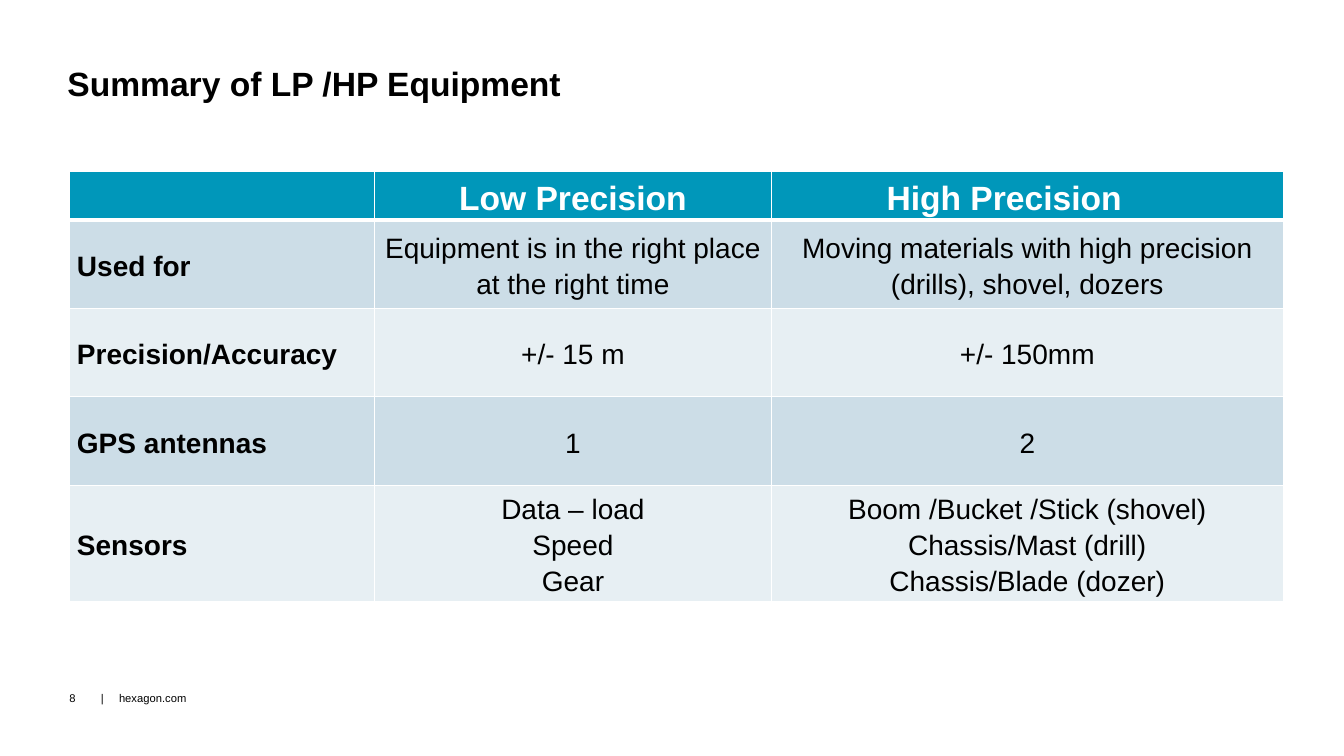
import dataclasses

import lxml.etree
import pptx
import pptx.dml.color
import pptx.enum.text
import pptx.oxml.ns
import pptx.util

Cm = pptx.util.Cm
Pt = pptx.util.Pt
ALIGN = pptx.enum.text.PP_ALIGN
ANCHOR = pptx.enum.text.MSO_ANCHOR


@dataclasses.dataclass
class Theme:
    font: str = "Arial"
    ink: str = "000000"
    white: str = "FFFFFF"
    head: str = "0097BA"
    bands: tuple = ("CCDDE7", "E7EFF3")
    title: int = 24
    body: int = 20
    foot: int = 8
    thin: int = 1
    thick: int = 3


def color(code):
    return pptx.dml.color.RGBColor.from_string(code)


def child(parent, tag, **attrs):
    node = lxml.etree.SubElement(parent, pptx.oxml.ns.qn(tag))
    for key, value in attrs.items():
        node.set(key, str(value))
    return node


class Page:
    def __init__(self, slide, theme):
        self.slide = slide
        self.theme = theme

    def style(self, frame, size, ink, bold=False, align=ALIGN.LEFT, space=1.0):
        for para in frame.paragraphs:
            para.alignment = align
            para.line_spacing = space
            for run in para.runs:
                font = run.font
                font.name = self.theme.font
                font.size = Pt(size)
                font.bold = bold
                font.color.rgb = color(ink)

    def label(self, text, left, top, width, height, size, bold=False,
              inset=0.0, anchor=ANCHOR.MIDDLE, space=1.0, tab=None):
        """Add a text box; tab is the place of its tab stop in cm."""
        box = self.slide.shapes.add_textbox(Cm(left), Cm(top), Cm(width), Cm(height))
        frame = box.text_frame
        frame.word_wrap = True
        frame.vertical_anchor = anchor
        frame.margin_left = frame.margin_right = Cm(inset)
        frame.margin_top = frame.margin_bottom = Cm(0)
        frame.text = text
        if tab:
            props = frame.paragraphs[0]._p.get_or_add_pPr()
            stops = child(props, "a:tabLst")
            child(stops, "a:tab", pos=int(Cm(tab)), algn="l")
        self.style(frame, size, self.theme.ink, bold, space=space)

    def border(self, cell, row):
        """Draw white cell edges, with a thick rule below the header."""
        props = cell._tc.get_or_add_tcPr()
        thin, thick = self.theme.thin, self.theme.thick
        widths = {"L": thin, "R": thin,
                  "T": thick if row == 1 else thin,
                  "B": thick if row == 0 else thin}
        for side, width in widths.items():
            line = child(props, f"a:ln{side}", w=int(Pt(width)))
            child(child(line, "a:solidFill"), "a:srgbClr", val=self.theme.white)

    def table(self, rows, left, top, widths, heights):
        theme = self.theme
        frame = self.slide.shapes.add_table(
            len(rows), len(widths), Cm(left), Cm(top), Cm(sum(widths)), Cm(sum(heights)))
        table = frame.table
        table.first_row = table.horz_banding = False
        for column, width in zip(table.columns, widths):
            column.width = Cm(width)
        for r, texts in enumerate(rows):
            table.rows[r].height = Cm(heights[r])
            head = r == 0
            for c, text in enumerate(texts):
                cell = table.cell(r, c)
                self.border(cell, r)
                cell.fill.solid()
                cell.fill.fore_color.rgb = color(theme.head if head else theme.bands[(r - 1) % 2])
                cell.vertical_anchor = ANCHOR.MIDDLE
                cell.margin_left = cell.margin_right = Cm(0.18)
                cell.margin_top = cell.margin_bottom = Cm(0)
                cell.text_frame.text = text
                self.style(cell.text_frame,
                           theme.title if head else theme.body,
                           theme.white if head else theme.ink,
                           bold=head or c == 0,
                           align=ALIGN.CENTER if c else ALIGN.LEFT,
                           space=1.15)
        return table


ROWS = [
    ("", "Low Precision", "High Precision"),
    ("Used for", "Equipment is in the right place at the right time",
     "Moving materials with high precision (drills), shovel, dozers"),
    ("Precision/Accuracy", "+/- 15 m", "+/- 150mm"),
    ("GPS antennas", "1", "2"),
    ("Sensors", "Data – load\nSpeed\nGear",
     "Boom /Bucket /Stick (shovel)\nChassis/Mast (drill)\nChassis/Blade (dozer)"),
]


def main():
    deck = pptx.Presentation()
    deck.slide_width, deck.slide_height = Cm(33.87), Cm(19.05)
    theme = Theme()
    page = Page(deck.slides.add_slide(deck.slide_layouts[6]), theme)

    page.label("Summary of LP /HP Equipment", 1.7, 1.7, 30.48, 1.14,
               theme.title, bold=True, anchor=ANCHOR.TOP, space=0.9)
    table = page.table(ROWS, 1.76, 4.32, [7.68, 10.0, 12.9],
                       [1.22] + [2.23] * 3 + [2.92])
    # The last heading sits left of its column's centre.
    table.cell(0, 2).margin_right = Cm(1.35)

    foot = dict(top=17.07, height=1.02, size=theme.foot, inset=0.25)
    page.label("8", left=1.5, width=1.07, **foot)
    page.label("|\thexagon.com", left=2.29, width=11.43, tab=0.46, **foot)
    deck.save("out.pptx")


if __name__ == "__main__":
    main()
